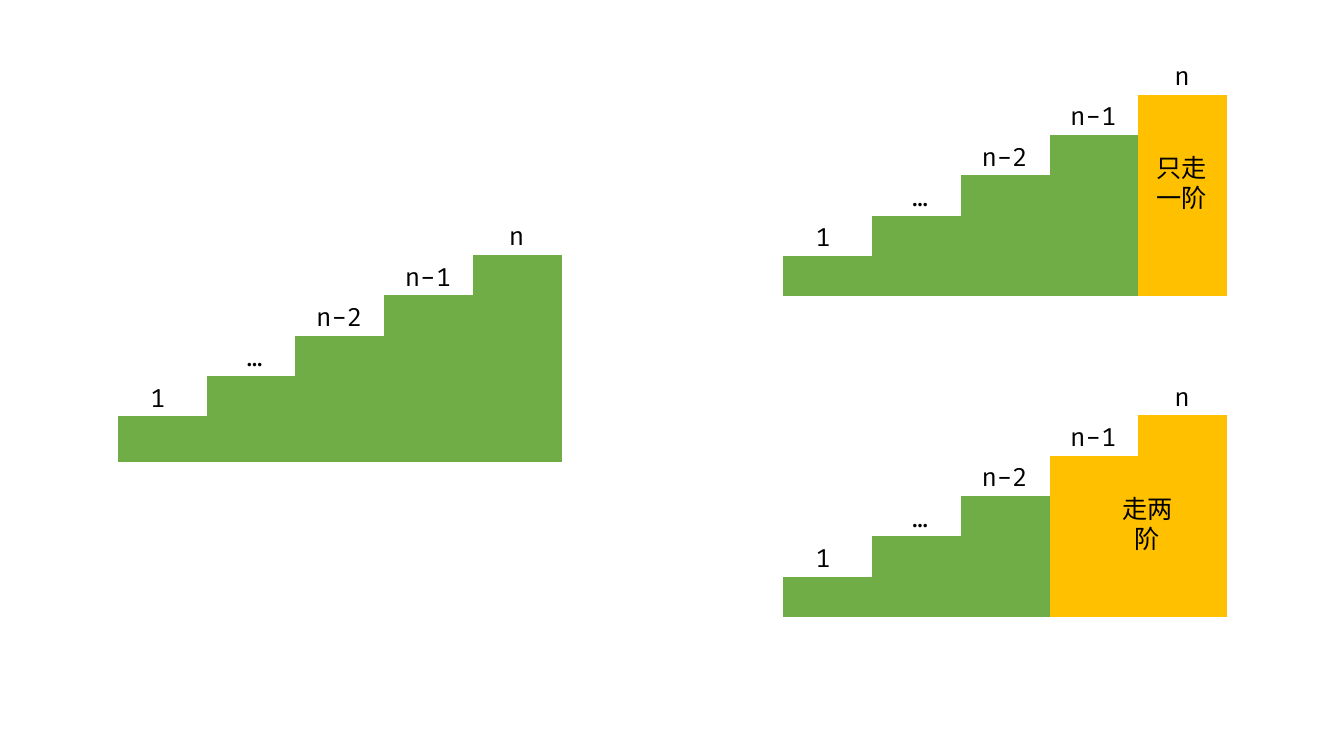
from lxml import etree
from pptx import Presentation
from pptx.dml.color import RGBColor
from pptx.enum.text import MSO_AUTO_SIZE, PP_ALIGN
from pptx.oxml.ns import qn
from pptx.util import Inches, Pt

GREEN = RGBColor(0x70, 0xAD, 0x47)
ORANGE = RGBColor(0xFF, 0xC0, 0x00)
BLACK = RGBColor(0, 0, 0)
CENTER = PP_ALIGN.CENTER
FIT_SHAPE = MSO_AUTO_SIZE.SHAPE_TO_FIT_TEXT
PLAIN_TABLE = "{2D5ABB26-0587-4C30-8999-92F81FD0307C}"

CODE_FONT, CJK_FONT = "Fira Code", "Noto Sans CJK SC"
COL, ROW = 0.88, 0.4        # one stair: width and rise, inches
LABEL_W = 0.79
LABELS = [("1", 0), ("…", 0.96), ("n-2", 1.8), ("n-1", 2.68), ("n", 3.56)]
STAIRS = len(LABELS)


class Board:
    def __init__(self, slide):
        self.s = slide

    def bar(self, left, top, cols, color, height=ROW):
        """One-cell table that fills a run of columns."""
        frame = self.s.shapes.add_table(1, 1, Inches(left), Inches(top),
                                        Inches(cols * COL), Inches(height))
        table = frame.table
        table.first_row = table.horz_banding = False
        frame._element.find(".//" + qn("a:tableStyleId")).text = PLAIN_TABLE
        cell = table.cell(0, 0)
        cell.margin_top = cell.margin_bottom = 0
        cell.fill.solid()
        cell.fill.fore_color.rgb = color

    def text(self, text, left, top, width, height=ROW, font=CODE_FONT):
        box = self.s.shapes.add_textbox(Inches(left), Inches(top),
                                        Inches(width), Inches(height))
        tf = box.text_frame
        tf.word_wrap = True
        tf.auto_size = FIT_SHAPE
        p = tf.paragraphs[0]
        p.alignment = CENTER
        r = p.add_run()
        r.text = text
        r.font.name, r.font.size = font, Pt(18)
        r.font.color.rgb = BLACK
        etree.SubElement(r.font._element, qn("a:ea"), typeface=font)

    def staircase(self, left, base, split=STAIRS, base_height=ROW):
        """Stairs that turn from green to orange at column split."""
        for i, (label, dx) in enumerate(LABELS):
            top = base - i * ROW
            height = ROW if i else base_height
            for start, end, color in ((i, split, GREEN),
                                      (max(i, split), STAIRS, ORANGE)):
                if start < end:
                    self.bar(left + start * COL, top, end - start, color, height)
            self.text(label, left + dx, top - 0.39, LABEL_W)


prs = Presentation()
prs.slide_width, prs.slide_height = Inches(13.33), Inches(7.5)
board = Board(prs.slides.add_slide(prs.slide_layouts[6]))

# Whole staircase
board.staircase(1.17, 4.13, base_height=0.45)

# Last move climbs one stair
board.staircase(7.77, 2.54, split=4)
board.text("只走一阶", 11.28, 1.46, COL, 0.71, CJK_FONT)

# Last move climbs two stairs
board.staircase(7.77, 5.72, split=3)
board.text("走两阶", 10.94, 4.84, COL, 0.71, CJK_FONT)

prs.save("out.pptx")
